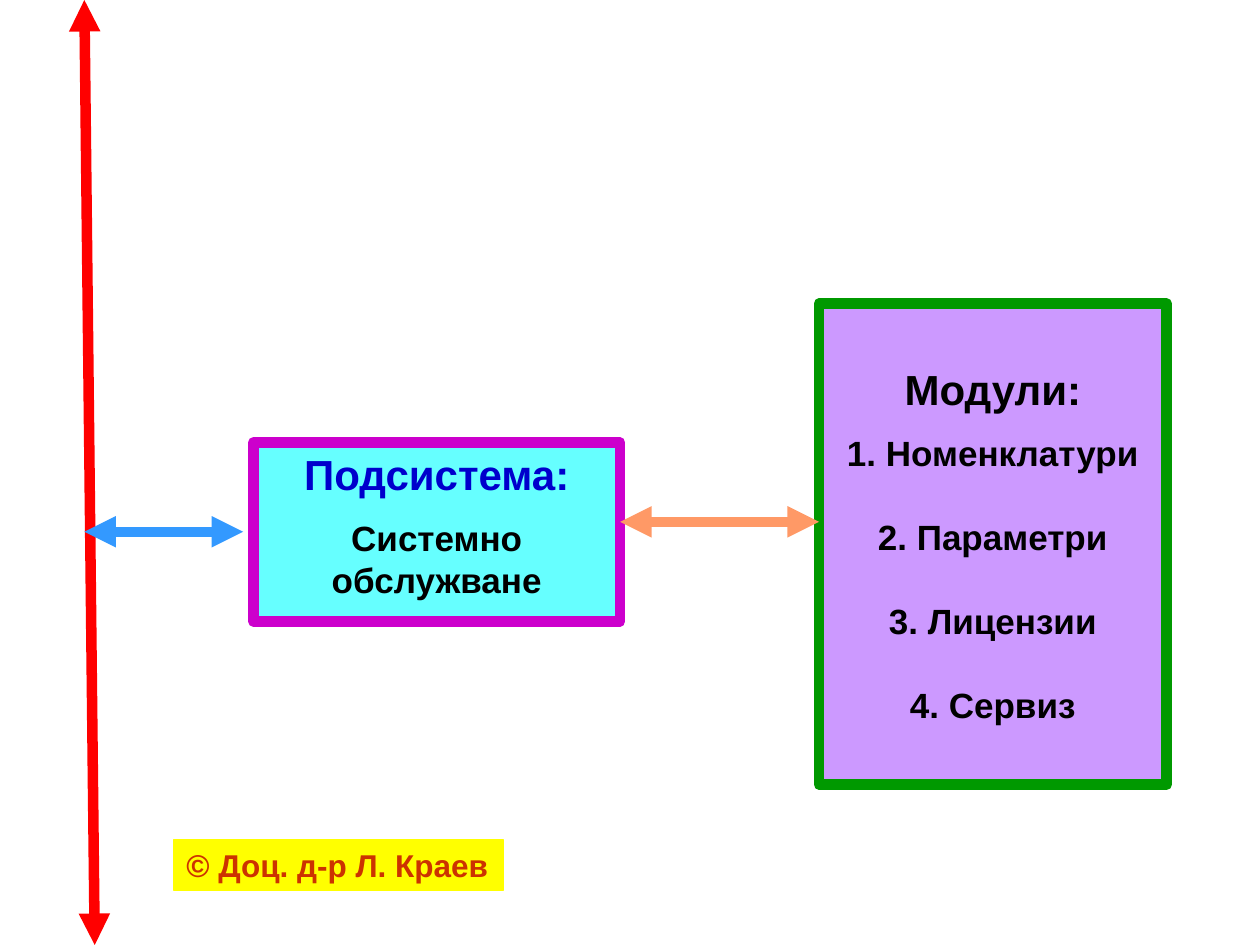
from lxml import etree
from pptx import Presentation
from pptx.dml.color import RGBColor
from pptx.enum.shapes import MSO_CONNECTOR, MSO_SHAPE
from pptx.enum.text import MSO_ANCHOR, PP_ALIGN
from pptx.oxml.ns import qn
from pptx.util import Cm, Pt

STRAIGHT = MSO_CONNECTOR.STRAIGHT
RECTANGLE = MSO_SHAPE.RECTANGLE
TOP, MIDDLE = MSO_ANCHOR.TOP, MSO_ANCHOR.MIDDLE
LEFT, CENTER = PP_ALIGN.LEFT, PP_ALIGN.CENTER


def color(hex_string):
    return RGBColor.from_string(hex_string)


class Diagram:
    font = "Arial"
    thick = 6

    def __init__(self, page):
        self.page = page

    def box(self, left, top, width, height, fill, line, line_width=thick,
            inset=0.13, anchor=TOP, wrap=True):
        """Add a filled rectangle; lengths are in centimetres."""
        box = self.page.shapes.add_shape(
            RECTANGLE, Cm(left), Cm(top), Cm(width), Cm(height))
        box.shadow.inherit = False
        box.fill.solid()
        box.fill.fore_color.rgb = color(fill)
        box.line.color.rgb = color(line)
        box.line.width = Pt(line_width)
        frame = box.text_frame
        frame.word_wrap = wrap
        frame.vertical_anchor = anchor
        frame.margin_top = Cm(inset)
        return box

    def text(self, box, lines, align=CENTER):
        """Write (text, size, colour, space before) lines, one per paragraph."""
        frame = box.text_frame
        frame.text = "\n".join(line[0] for line in lines)
        for para, (_, size, ink, space) in zip(frame.paragraphs, lines):
            para.alignment = align
            para.space_before = Pt(space)
            for span in para.runs:
                span.font.name = self.font
                span.font.size = Pt(size)
                span.font.bold = True
                span.font.color.rgb = color(ink)

    def double_arrow(self, x1, y1, x2, y2, ink):
        arrow = self.page.shapes.add_connector(
            STRAIGHT, Cm(x1), Cm(y1), Cm(x2), Cm(y2))
        arrow.line.color.rgb = color(ink)
        arrow.line.width = Pt(self.thick)
        line = arrow.line._get_or_add_ln()
        for end in ("a:headEnd", "a:tailEnd"):
            etree.SubElement(line, qn(end), type="triangle")
        etree.SubElement(arrow._element.spPr, qn("a:effectLst"))


def main():
    deck = Presentation()
    deck.slide_width, deck.slide_height = Cm(25.4), Cm(19.05)
    diagram = Diagram(deck.slides.add_slide(deck.slide_layouts[6]))

    # Author label
    label = diagram.box(3.51, 16.92, 6.63, 1.04, "FFFF00", "FFFF00",
                        line_width=0.75, anchor=MIDDLE, wrap=False)
    diagram.text(label, [("© Доц. д-р Л. Краев", 18, "CC3300", 0)], LEFT)

    # Main bus
    diagram.double_arrow(1.7, 0, 1.91, 19.05, "FF0000")

    # Subsystem
    subsystem = diagram.box(5.11, 8.92, 7.39, 3.61, "66FFFF", "CC00CC")
    diagram.text(subsystem, [("Подсистема:", 24, "0000CC", 0),
                             ("Системно обслужване", 20, "000000", 10)])

    # Modules
    modules = diagram.box(16.51, 6.12, 7.01, 9.7, "CC99FF", "009900", inset=1.2)
    names = ["Номенклатури", "Параметри", "Лицензии", "Сервиз"]
    items = [(f"{number}. {name}", 20, "000000", 10 if number == 1 else 24)
             for number, name in enumerate(names, 1)]
    diagram.text(modules, [("Модули:", 24, "000000", 0)] + items)

    # Links between the parts
    diagram.double_arrow(1.7, 10.72, 4.9, 10.72, "3399FF")
    diagram.double_arrow(12.5, 10.52, 16.51, 10.52, "FF9966")

    deck.save("out.pptx")


if __name__ == "__main__":
    main()
